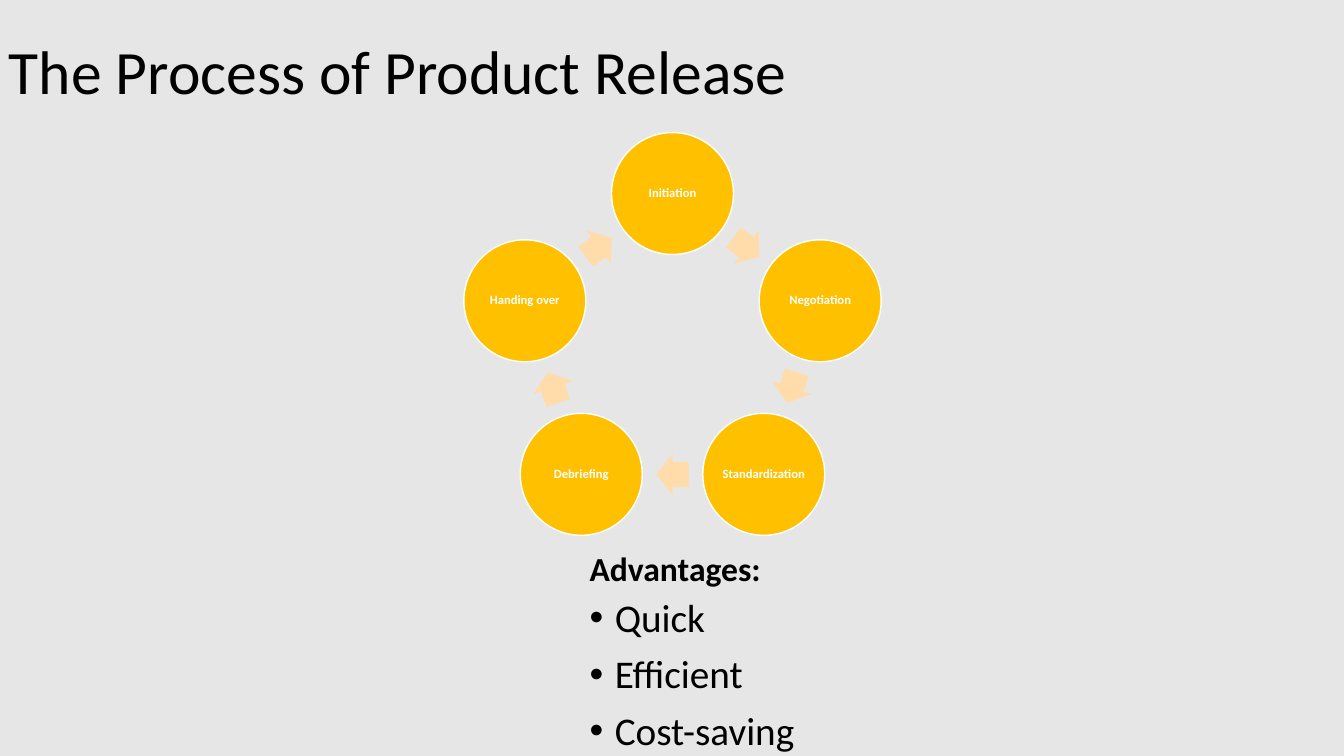
from math import cos, radians, sin

from lxml import etree
from pptx import Presentation
from pptx.dml.color import RGBColor
from pptx.enum.shapes import MSO_SHAPE
from pptx.enum.text import MSO_ANCHOR, PP_ALIGN
from pptx.oxml.ns import qn
from pptx.util import Inches, Pt

OVAL, ARROW = MSO_SHAPE.OVAL, MSO_SHAPE.RIGHT_ARROW
TOP, MIDDLE, BOTTOM = MSO_ANCHOR.TOP, MSO_ANCHOR.MIDDLE, MSO_ANCHOR.BOTTOM
CENTER = PP_ALIGN.CENTER

COLORS = {"back": "E7E6E6", "ink": "000000", "white": "FFFFFF",
          "step": "FFC000", "arrow": "FFDCAA"}
FONT = "Calibri"
STEPS = ["Initiation", "Negotiation", "Standardization", "Debriefing",
         "Handing over"]
GAINS = ["Quick", "Efficient", "Cost-saving"]

# Ring geometry in inches
MID_X, MID_Y, RADIUS = 6.67, 3.46, 1.54
DISC = 1.21
HEAD_W, HEAD_H = 0.32, 0.41
TURN = 360 / len(STEPS)


def color(name):
    return RGBColor.from_string(COLORS[name])


def style(para, size, ink="ink", bold=False):
    para.line_spacing = 0.9
    para.font.name = FONT
    para.font.size = Pt(size)
    para.font.bold = bold
    para.font.color.rgb = color(ink)


def add_bullet(para):
    props = para._p.get_or_add_pPr()
    props.set("marL", str(Inches(0.25)))
    props.set("indent", str(-Inches(0.25)))
    etree.SubElement(props, qn("a:buFont")).set("typeface", "Arial")
    etree.SubElement(props, qn("a:buChar")).set("char", "•")


def add_text(slide, box, lines, size, anchor, bold=False, bullets=False):
    frame = slide.shapes.add_textbox(*map(Inches, box)).text_frame
    frame.word_wrap = True
    frame.vertical_anchor = anchor
    for i, line in enumerate(lines):
        para = frame.add_paragraph() if i else frame.paragraphs[0]
        para.text = line
        if bullets:
            add_bullet(para)
        if i:
            para.space_before = Pt(10)
        style(para, size, bold=bold)


def add_solid(slide, kind, x, y, width, height, fill):
    """Add a filled shape centred on x, y."""
    shape = slide.shapes.add_shape(
        kind, Inches(x - width / 2), Inches(y - height / 2),
        Inches(width), Inches(height))
    shape.shadow.inherit = False
    shape.fill.solid()
    shape.fill.fore_color.rgb = color(fill)
    return shape


def ring_point(angle, radius):
    """Point on the ring, clockwise from the top."""
    turn = radians(angle)
    return MID_X + radius * sin(turn), MID_Y - radius * cos(turn)


def add_step(slide, label, angle):
    disc = add_solid(slide, OVAL, *ring_point(angle, RADIUS), DISC, DISC,
                     "step")
    disc.line.color.rgb = color("white")
    disc.line.width = Pt(1)
    frame = disc.text_frame
    frame.word_wrap = True
    frame.vertical_anchor = MIDDLE
    frame.margin_left = frame.margin_right = 0
    frame.margin_top = frame.margin_bottom = 0
    para = frame.paragraphs[0]
    para.text = label
    para.alignment = CENTER
    style(para, 9, "white", True)


def add_arrow(slide, angle):
    chord = RADIUS * cos(radians(TURN / 2))
    arrow = add_solid(slide, ARROW, *ring_point(angle, chord), HEAD_W, HEAD_H,
                      "arrow")
    arrow.line.fill.background()
    arrow.adjustments[0] = 0.6
    arrow.adjustments[1] = 0.5
    arrow.rotation = angle


def main():
    deck = Presentation()
    deck.slide_width, deck.slide_height = Inches(13.33), Inches(7.5)
    slide = deck.slides.add_slide(deck.slide_layouts[6])
    slide.background.fill.solid()
    slide.background.fill.fore_color.rgb = color("back")

    # Title and advantages
    add_text(slide, (-0.01, 0.01, 11.5, 1.45),
             ["The Process of Product Release"], 44, MIDDLE)
    add_text(slide, (5.75, 4.99, 5.67, 0.9), ["Advantages:"], 24, BOTTOM,
             bold=True)
    add_text(slide, (5.75, 5.89, 5.67, 4.03), GAINS, 28, TOP, bullets=True)

    # Release cycle
    for i, label in enumerate(STEPS):
        add_step(slide, label, i * TURN)
        add_arrow(slide, (i + 0.5) * TURN)

    deck.save("out.pptx")


if __name__ == "__main__":
    main()
